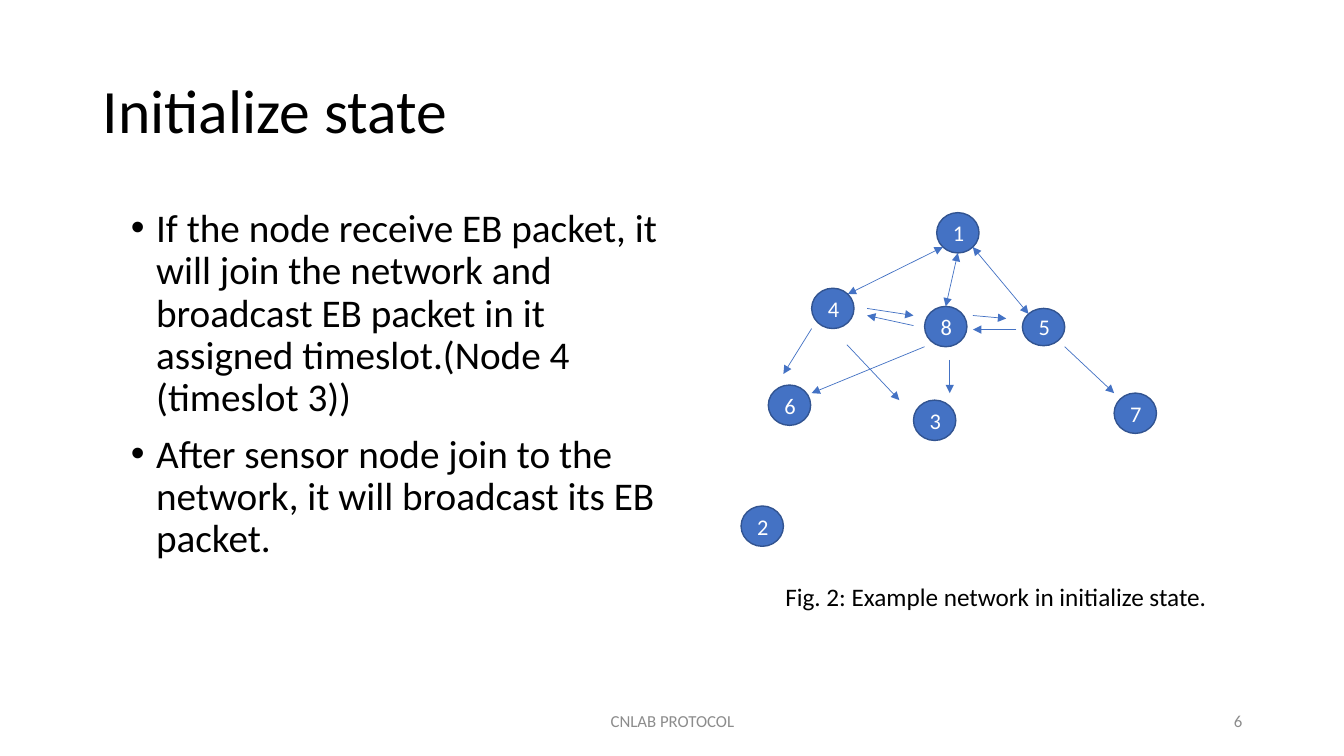
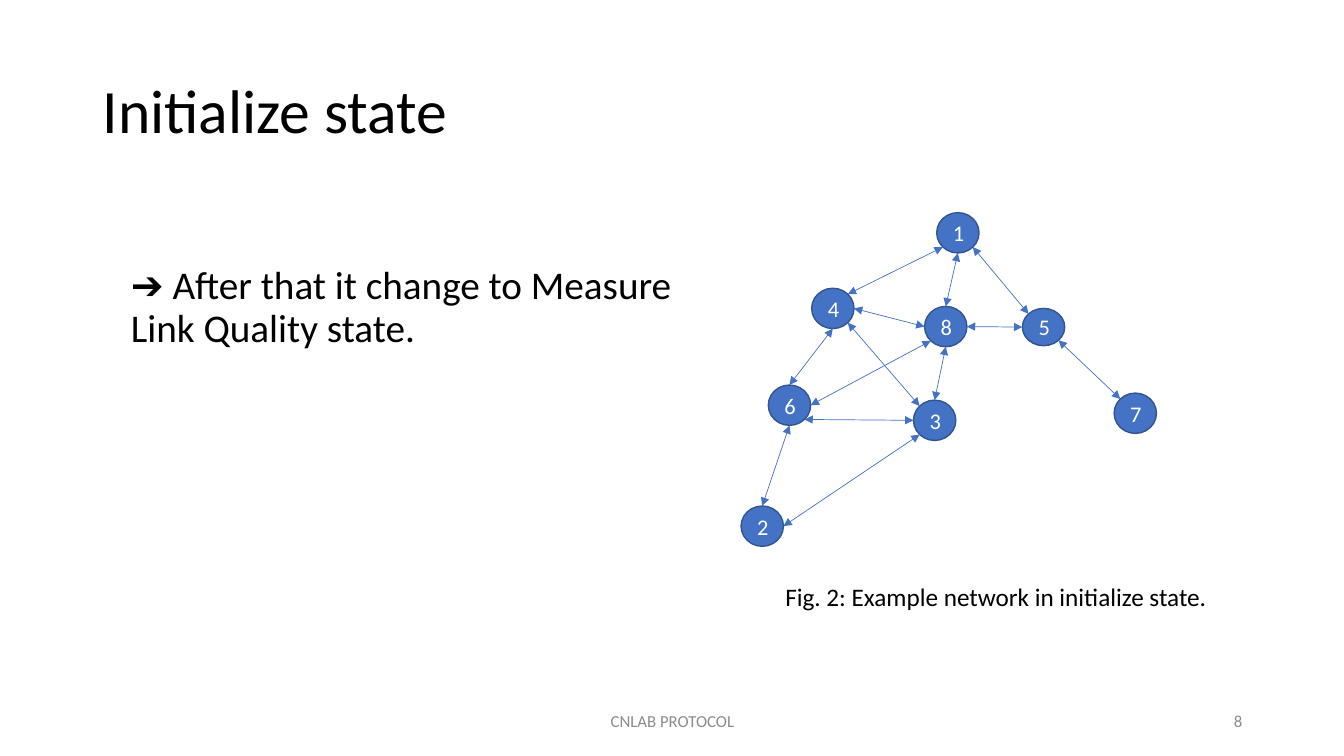
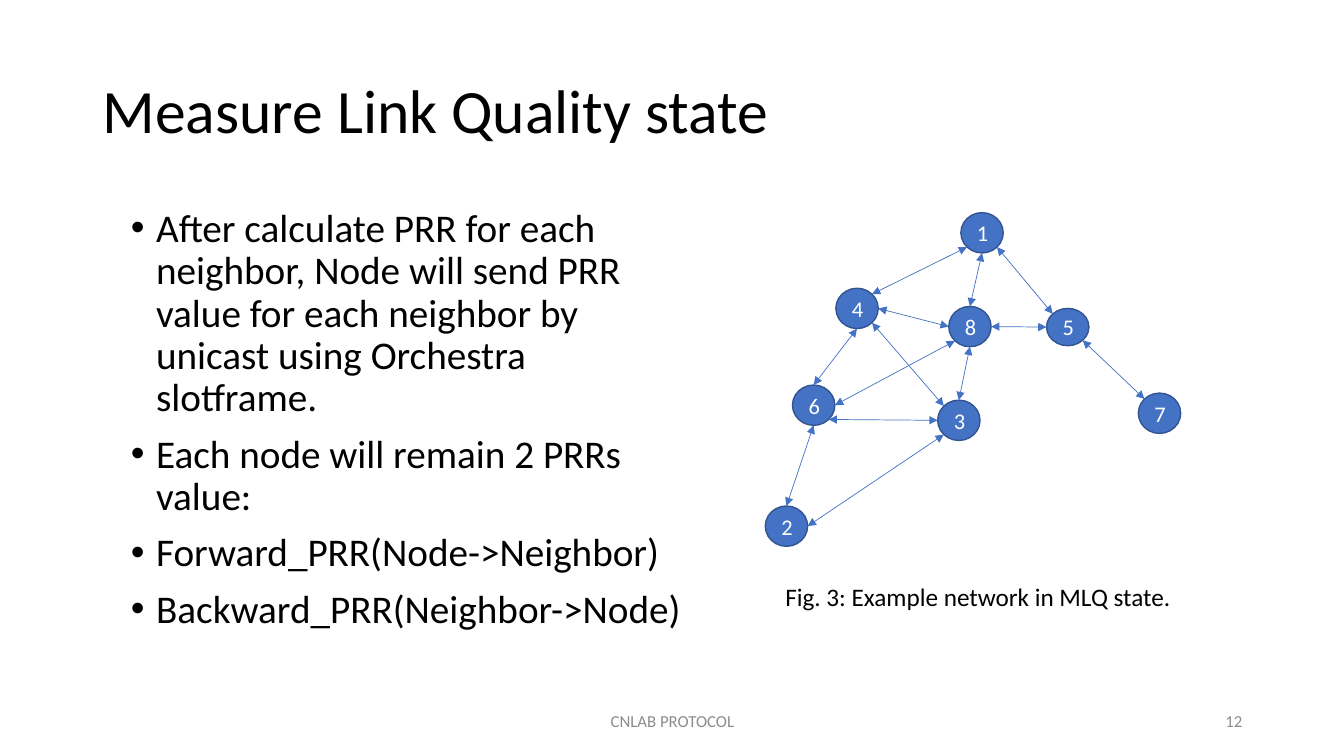
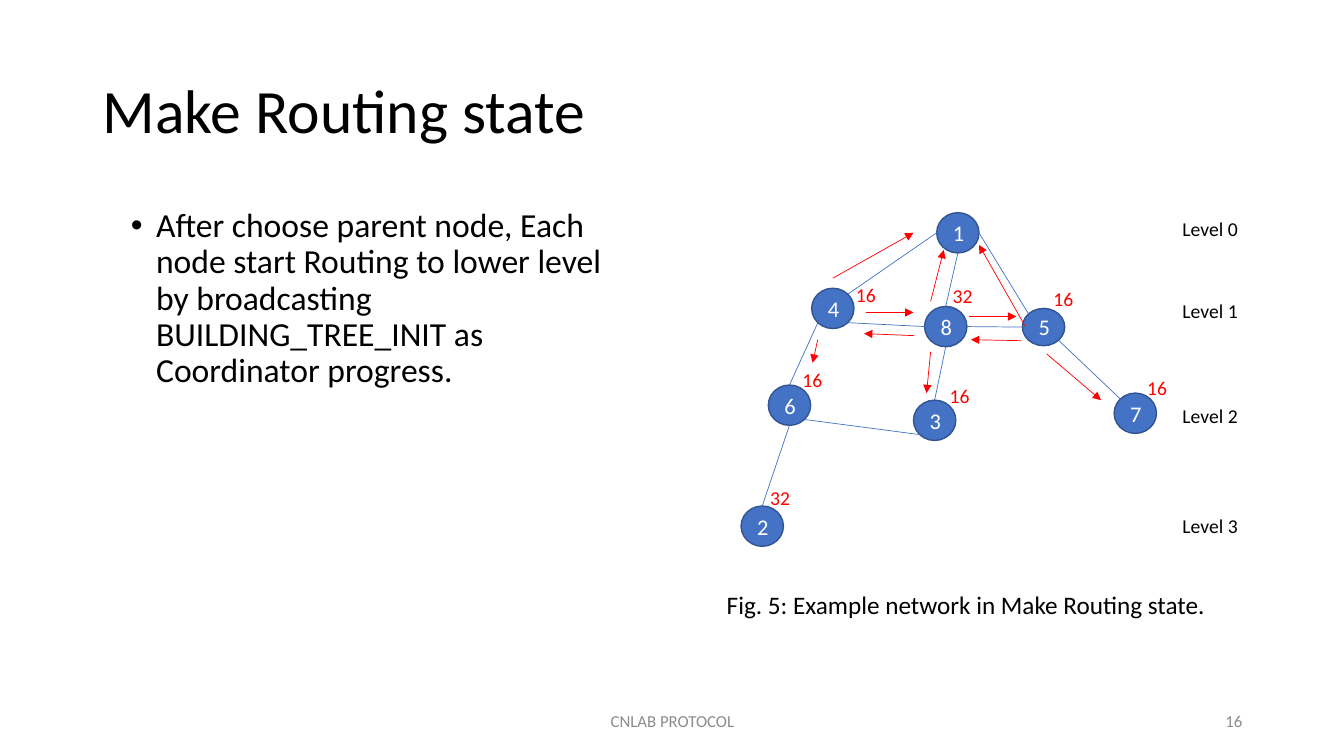
import math

import pptx
import pptx.dml.color
import pptx.enum.shapes
import pptx.enum.text
import pptx.oxml.ns
import pptx.util
from lxml import etree

Inches = pptx.util.Inches
ALIGN = pptx.enum.text.PP_ALIGN
ANCHOR = pptx.enum.text.MSO_ANCHOR
SIZE = pptx.enum.text.MSO_AUTO_SIZE
SHAPE = pptx.enum.shapes.MSO_SHAPE
LINE = pptx.enum.shapes.MSO_CONNECTOR
qn = pptx.oxml.ns.qn

FONT = "Calibri"
COLORS = {"ink": "000000", "grey": "8C8C8C", "node": "4472C4",
          "edge": "325491", "white": "FFFFFF", "red": "FF0000"}
NODES = {"1": (1.94, 0, 0.4), "3": (1.71, 1.86, 0.4), "2": (0, 2.91, 0.4),
         "4": (0.7, 0.75, 0.4), "5": (2.79, 0.95, 0.37), "6": (0.27, 1.71, 0.4),
         "8": (1.82, 0.93, 0.4), "7": (3.7, 1.79, 0.4)}
WIDE = 0.42
SIDES = ["e", "se", "s", "sw", "w", "nw", "n", "ne"]

ROOT = ["8n 1s", "5nw 1se", "4ne 1sw"]
MESH = ROOT + ["4e 8w", "8e 5w", "4se 3nw", "4s 6n", "6e 8sw", "3n 8s",
               "7nw 5se", "6se 3w", "6s 2n", "2e 3sw"]
TREE = ["1s 8n", "1w 4ne", "1e 5nw", "4sw 6n", "4se 8w", "8e 5w", "8s 3n",
        "6s 2n", "5se 7nw", "6se 3sw"]
CASTS = [(0.7, 1.15, 0.42, 1.6), (1.25, 0.95, 1.71, 1.02),
         (1.71, 1.12, 1.25, 1.02), (2.3, 1.02, 2.63, 1.05),
         (2.73, 1.16, 2.3, 1.16), (2.07, 1.46, 2.07, 1.79),
         (3.21, 1.33, 3.7, 1.79), (1.82, 1.33, 0.7, 1.79),
         (1.05, 1.31, 1.57, 1.86)]
ROUTES = [(0.91, 0.65, 1.71, 0.2), (1.88, 0.88, 2.01, 0.37),
          (2.82, 1.13, 2.36, 0.32), (1.24, 0.99, 1.71, 0.99),
          (0.76, 1.26, 0.71, 1.49), (2.78, 1.27, 2.28, 1.26),
          (3.03, 1.4, 3.57, 1.86), (1.72, 1.22, 1.22, 1.2),
          (1.88, 1.38, 1.84, 1.79), (2.26, 1.03, 2.73, 1.03)]
COSTS = [("16", 1.04, 0.65), ("32", 2, 0.66), ("16", 3, 0.69),
         ("16", 0.51, 1.49), ("32", 0.19, 2.66), ("16", 1.97, 1.65),
         ("16", 3.93, 1.57)]
LEVELS = [-0.01, 0.81, 1.85, 2.94]


def paint(name):
    return pptx.dml.color.RGBColor.from_string(COLORS[name])


def write(shape, lines, size=18, color="ink", align=ALIGN.LEFT,
          anchor=ANCHOR.TOP, wrap=True, lead=None, gap=0, bullet=False):
    frame = shape.text_frame
    frame.word_wrap = wrap
    frame.vertical_anchor = anchor
    frame.auto_size = SIZE.NONE if wrap else SIZE.SHAPE_TO_FIT_TEXT
    for i, line in enumerate(lines):
        para = frame.add_paragraph() if i else frame.paragraphs[0]
        para.alignment = align
        if lead:
            para.line_spacing = lead
        para.space_before = pptx.util.Pt(gap)
        run = para.add_run()
        run.text = line
        run.font.name = FONT
        run.font.size = pptx.util.Pt(size)
        run.font.color.rgb = paint(color)
        if bullet:
            props = para._p.get_or_add_pPr()
            props.set("marL", str(Inches(0.25)))
            props.set("indent", str(Inches(-0.25)))
            etree.SubElement(props, qn("a:buFont"), typeface="Arial")
            etree.SubElement(props, qn("a:buChar"), char="•")


def label(slide, box, *lines, **style):
    write(slide.shapes.add_textbox(*map(Inches, box)), lines, **style)


def draw(slide, ends, color="node", head=False, tail=False):
    line = slide.shapes.add_connector(LINE.STRAIGHT, *map(Inches, ends))
    line.line.color.rgb = paint(color)
    line.line.width = pptx.util.Pt(0.5)
    props = line.element.spPr
    stroke = props.find(qn("a:ln"))
    for show, tag in ((head, "a:headEnd"), (tail, "a:tailEnd")):
        if show:
            etree.SubElement(stroke, qn(tag), type="triangle")
    etree.SubElement(props, qn("a:effectLst"))


def port(key):
    x, y, tall = NODES[key[0]]
    turn = SIDES.index(key[1:]) * math.pi / 4
    return (x + WIDE / 2 * (1 + math.cos(turn)),
            y + tall / 2 * (1 + math.sin(turn)))


def place(ends, left, top):
    x1, y1, x2, y2 = ends
    return left + x1, top + y1, left + x2, top + y2


def graph(slide, left, top, links, both=True, casts=(), tint="node"):
    for name, (x, y, tall) in NODES.items():
        node = slide.shapes.add_shape(
            SHAPE.OVAL, *map(Inches, (left + x, top + y, WIDE, tall)))
        node.shadow.inherit = False
        node.fill.solid()
        node.fill.fore_color.rgb = paint("node")
        node.line.color.rgb = paint("edge")
        node.line.width = pptx.util.Pt(1)
        write(node, [name], size=16, color="white", align=ALIGN.CENTER,
              anchor=ANCHOR.MIDDLE)
    for link in links:
        start, end = link.split()
        draw(slide, place(port(start) + port(end), left, top),
             head=both, tail=both)
    for cast in casts:
        draw(slide, place(cast, left, top), color=tint, tail=True)


def ranks(slide, left, top):
    for i, y in enumerate(LEVELS):
        label(slide, (left + 4.28, top + y, 0.76, 0.34), f"Level {i}",
              size=14, wrap=False)
    for cost, x, y in COSTS:
        label(slide, (left + x, top + y, 0.4, 0.34), cost,
              size=14, color="red", wrap=False)


def base(deck, title, page):
    slide = deck.slides.add_slide(deck.slide_layouts[6])
    label(slide, (0.92, 0.4, 11.5, 1.45), title, size=44, lead=0.9,
          anchor=ANCHOR.MIDDLE)
    foot = {"size": 12, "color": "grey", "anchor": ANCHOR.MIDDLE}
    label(slide, (4.42, 6.95, 4.5, 0.4), "CNLAB PROTOCOL",
          align=ALIGN.CENTER, **foot)
    label(slide, (9.42, 6.95, 3, 0.4), str(page), align=ALIGN.RIGHT, **foot)
    return slide


def body(slide, lines, top=2.02, wide=5.58, size=28, bullet=True):
    label(slide, (1.2, top, wide, 6.42 - top), *lines, size=size,
          lead=0.9, gap=10, bullet=bullet)


def note(slide, text, left=7.69, top=5.72, wide=4.43):
    label(slide, (left, top, wide, 0.4), text, wrap=False)


def main():
    deck = pptx.Presentation()
    deck.slide_width = Inches(13.33)
    deck.slide_height = Inches(7.5)
    left, top = 7.35, 2.11
    start = "Fig. 2: Example network in initialize state."

    slide = base(deck, "Initialize state", 6)
    body(slide, [
        "If the node receive EB packet, it will join the network and broadcast "
        "EB packet in it assigned timeslot.(Node 4 (timeslot 3))",
        "After sensor node join to the network, it will broadcast its EB packet."])
    graph(slide, left, top, ROOT, casts=CASTS)
    note(slide, start)

    slide = base(deck, "Initialize state", 8)
    body(slide, ["➔ After that it change to Measure Link Quality state."],
         top=2.59, bullet=False)
    graph(slide, left, top, MESH)
    note(slide, start)

    slide = base(deck, "Measure Link Quality state", 12)
    body(slide, [
        "After calculate PRR for each neighbor, Node will send PRR value for "
        "each neighbor by unicast using Orchestra slotframe.",
        "Each node will remain 2 PRRs value:",
        "Forward_PRR(Node->Neighbor)",
        "Backward_PRR(Neighbor->Node)"], wide=5.71)
    graph(slide, left + 0.24, top, MESH)
    note(slide, "Fig. 3: Example network in MLQ state.", wide=4.07)

    slide = base(deck, "Make Routing state", 16)
    body(slide, [
        "After choose parent node, Each node start Routing to lower level by "
        "broadcasting BUILDING_TREE_INIT as Coordinator progress."],
         wide=5.2, size=24)
    graph(slide, left, top, TREE, both=False, casts=ROUTES, tint="red")
    ranks(slide, left, top)
    note(slide, "Fig. 5: Example network in Make Routing state.",
         left=7.11, top=5.8, wide=5)

    deck.save("out.pptx")


if __name__ == "__main__":
    main()
